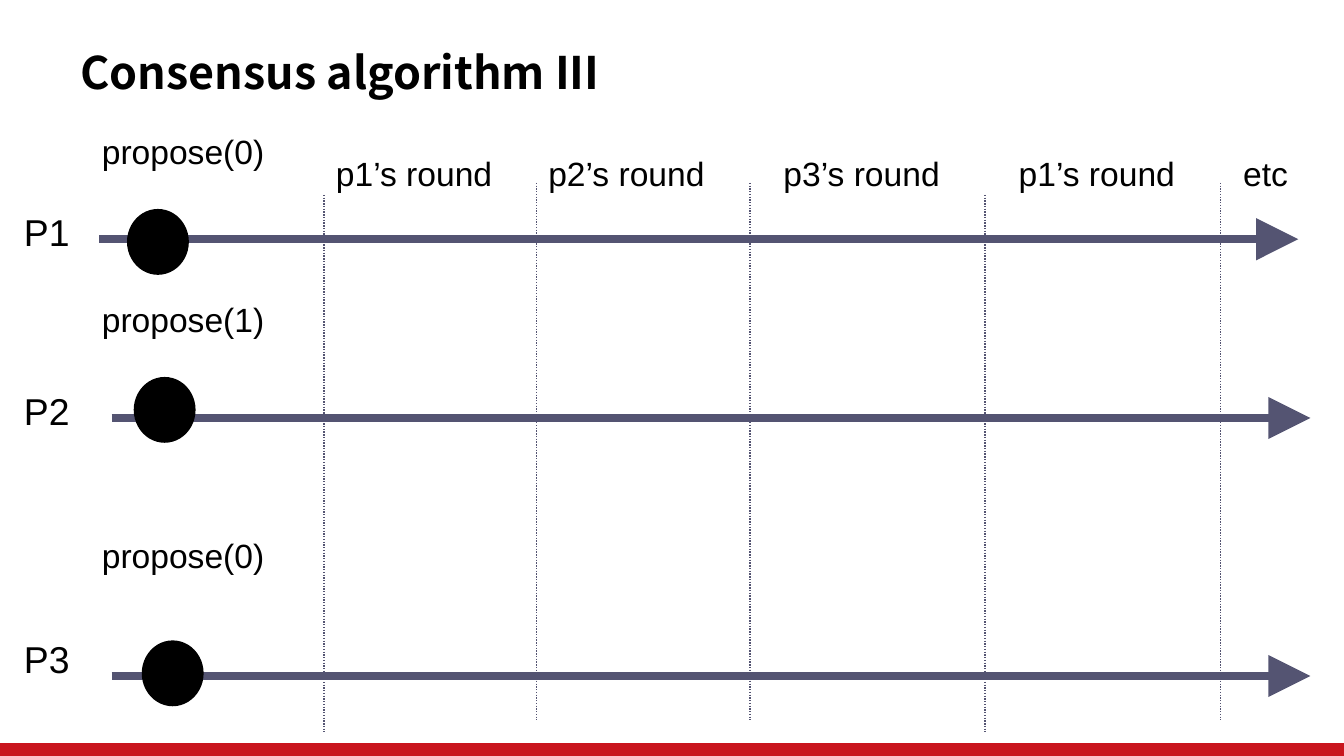
from pptx import Presentation, util as u
from pptx.dml.color import RGBColor
from pptx.enum import dml, shapes, text
from pptx.oxml.ns import qn
from lxml import etree

BLACK = RGBColor(0x00, 0x00, 0x00)
SLATE = RGBColor(0x54, 0x54, 0x72)
RED = RGBColor(0xC9, 0x15, 0x1E)

LANES = [
    ("P1", "propose(0)", 1.53, 0.74, 0.25, 0.95, 0.03, 0.58),
    ("P2", "propose(1)", 2.86, 0.83, 0.25, 1.00, -0.05, 0.66),
    ("P3", "propose(0)", 4.71, 0.83, 0.32, 1.06, 0.06, 0.76),
]
ROUNDS = [
    ("p1’s round", 2.41, 1.45, -0.08, 1.83),
    ("p2’s round", 3.99, 1.36, -0.08, 1.83),
    ("p3’s round", 5.58, 1.36, 0.08, 1.83),
    ("p1’s round", 7.33, 1.45, 0.08, 1.83),
    ("etc", 9.08, 1.36, 0, 0.75),
]


def add_text(slide, words, box, size=18, font="Arial", bold=False, wrap=True,
             spacing=0.95, left=0.1, margin=0.05, anchor=text.MSO_ANCHOR.TOP):
    """Add one line of black text in the box (left, top, width, height)."""
    frame = slide.shapes.add_textbox(*map(u.Inches, box)).text_frame
    frame.word_wrap = wrap
    frame.vertical_anchor = anchor
    frame.margin_left, frame.margin_right = u.Inches(left), u.Inches(0.1)
    frame.margin_top = frame.margin_bottom = u.Inches(margin)
    line = frame.paragraphs[0]
    line.alignment = text.PP_ALIGN.LEFT
    line.line_spacing = spacing
    run = line.add_run()
    run.text = words
    run.font.size, run.font.name, run.font.bold = u.Pt(size), font, bold
    run.font.color.rgb = BLACK
    for tag in ("a:ea", "a:cs"):
        etree.SubElement(run.font._element, qn(tag)).set("typeface", font)


def add_line(slide, start, end, width, dash=None, arrow=False):
    """Add a straight slate line, optionally dashed or arrowed."""
    line = slide.shapes.add_connector(
        shapes.MSO_CONNECTOR.STRAIGHT, *map(u.Inches, (*start, *end)))
    line.line.color.rgb = SLATE
    line.line.width = u.Pt(width)
    if dash:
        line.line.dash_style = dash
    if arrow:
        head = etree.SubElement(line.line._get_or_add_ln(), qn("a:tailEnd"))
        for key, value in (("type", "triangle"), ("w", "lg"), ("len", "lg")):
            head.set(key, value)
    etree.SubElement(line._element.spPr, qn("a:effectLst"))


def add_solid(slide, kind, box, color, outlined=False):
    """Add a plain filled shape in the box."""
    solid = slide.shapes.add_shape(kind, *map(u.Inches, box))
    solid.shadow.inherit = False
    solid.fill.solid()
    solid.fill.fore_color.rgb = color
    if outlined:
        solid.line.color.rgb = color
        solid.line.width = u.Pt(0.75)
    else:
        solid.line.fill.background()


def add_header(slide, left, top, width, height):
    """Place the slide title."""
    add_text(slide, "Consensus algorithm III", (left, top, width, height), size=24,
             font="Noto Sans CJK SC", bold=True, wrap=False, spacing=1.0,
             margin=0, anchor=text.MSO_ANCHOR.MIDDLE)


def add_lane(slide, left, top, lane):
    """Place one process: its name, proposal, time arrow and event."""
    process, proposal, _, start, drop, event, event_drop, rise = lane
    axis = top + drop
    add_line(slide, (start, axis), (start + 8.92, axis), 4.5, arrow=True)
    add_text(slide, process, (left, top, 0.54, 0.42), size=20, wrap=False)
    add_text(slide, proposal, (left + 0.58, top - rise, 1.83, 0.39))
    add_solid(slide, shapes.MSO_SHAPE.OVAL, (event, top + event_drop, 0.45, 0.48),
              BLACK, outlined=True)


def add_round(slide, left, top, label, line_top, shift, width):
    """Place one round: its dotted boundary and label."""
    add_line(slide, (left, line_top), (left, line_top + 4), 0.75,
             dash=dml.MSO_LINE.ROUND_DOT)
    add_text(slide, label, (left + shift, top, width, 0.39), left=0.17)


def main():
    """Build and save the slide."""
    deck = Presentation()
    deck.slide_width, deck.slide_height = u.Inches(10), u.Inches(10 * 9 / 16)
    slide = deck.slides.add_slide(deck.slide_layouts[6])
    add_solid(slide, shapes.MSO_SHAPE.RECTANGLE, (0, 5.53, 10, 0.1), RED)
    add_header(slide, 0.5, 0.29, 6.96, 0.49)
    for lane in LANES:
        add_lane(slide, 0.08, lane[2], lane)
    for label, left, line_top, shift, width in ROUNDS:
        add_round(slide, left, 1.11, label, line_top, shift, width)
    deck.save("out.pptx")


if __name__ == "__main__":
    main()
